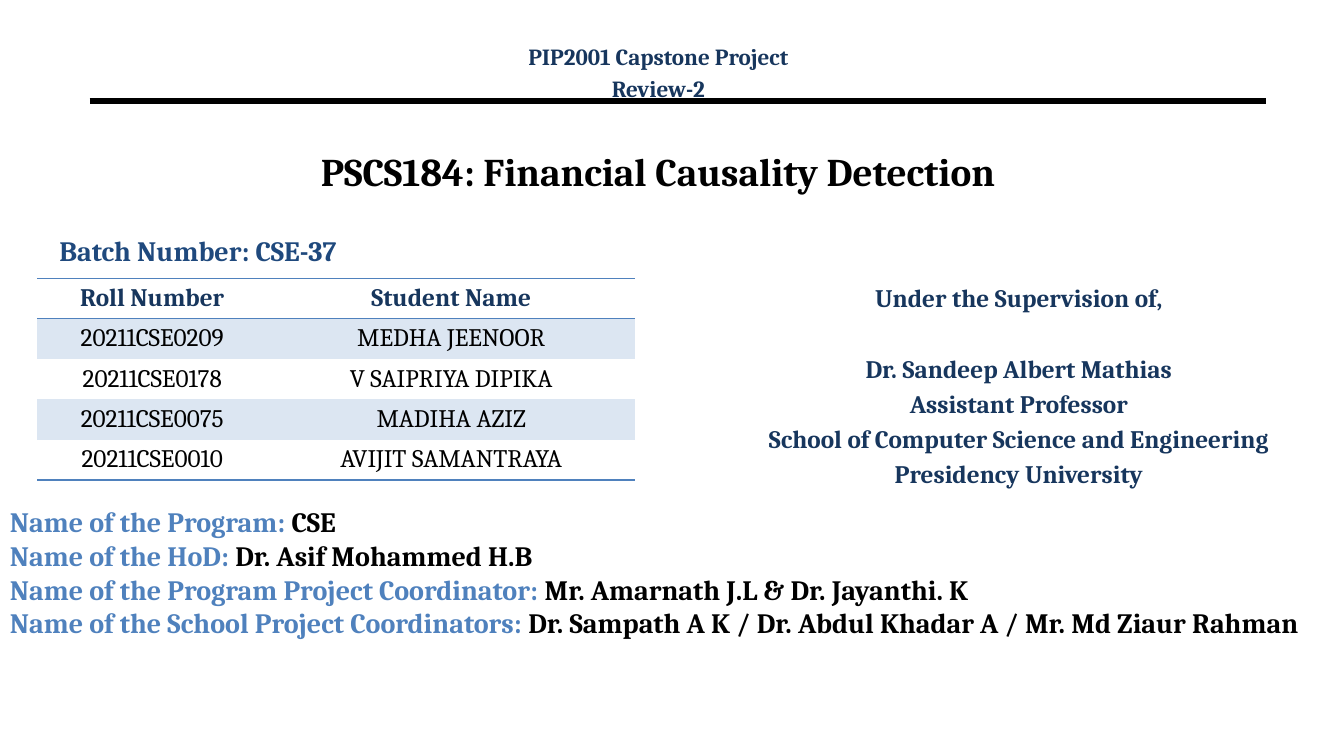
from lxml.etree import SubElement
from pptx import Presentation
from pptx.dml.color import RGBColor
from pptx.enum.shapes import MSO_CONNECTOR as Connector
from pptx.enum.text import MSO_ANCHOR as Anchor, PP_ALIGN as Align
from pptx.oxml.ns import qn
from pptx.util import Inches, Pt

BLACK = RGBColor(0x00, 0x00, 0x00)
NAVY = RGBColor(0x17, 0x36, 0x5D)
DARK_BLUE = RGBColor(0x1F, 0x49, 0x7D)
BLUE = RGBColor(0x4F, 0x81, 0xBD)
BAND = RGBColor(0xDC, 0xE6, 0xF2)
FONT = "Cambria"
PLAIN_TABLE_STYLE = "{2D5ABB26-0587-4C30-8999-92F81FD0307C}"

HEADER = [("PIP2001 Capstone Project", 0), ("Review-2", 3.1)]
SUPERVISION = [
    ("Under the Supervision of,", 0),
    ("Dr. Sandeep Albert Mathias", 29.1),
    ("Assistant Professor", 3.4),
    ("School of Computer Science and Engineering", 3.4),
    ("Presidency University", 3.4),
]
STUDENTS = [
    ("Roll Number", "Student Name"),
    ("20211CSE0209", "MEDHA JEENOOR"),
    ("20211CSE0178", "V SAIPRIYA DIPIKA"),
    ("20211CSE0075", "MADIHA AZIZ"),
    ("20211CSE0010", "AVIJIT SAMANTRAYA"),
]
STAFF = [
    ("Name of the Program: ", "CSE"),
    ("Name of the HoD: ", "Dr. Asif Mohammed H.B"),
    ("Name of the Program Project Coordinator: ", "Mr. Amarnath J.L & Dr. Jayanthi. K"),
    ("Name of the School Project Coordinators: ",
     "Dr. Sampath A K / Dr. Abdul Khadar A / Mr. Md Ziaur Rahman"),
]


def style_span(span, size, color, bold=True):
    """Set the font of one run."""
    span.font.name = FONT
    span.font.size = Pt(size)
    span.font.bold = bold
    span.font.color.rgb = color


def add_box(slide, left, top, width, height):
    """Add a wrapping text box and return its text frame."""
    box = slide.shapes.add_textbox(Inches(left), Inches(top), Inches(width), Inches(height))
    box.text_frame.word_wrap = True
    return box.text_frame


def next_para(frame, index):
    """Return the first paragraph, or a new one after it."""
    return frame.add_paragraph() if index else frame.paragraphs[0]


def fill_lines(frame, lines, size, color, align):
    """Write lines given as text and space before."""
    for index, (text, space) in enumerate(lines):
        para = next_para(frame, index)
        para.text = text
        para.alignment = align
        para.space_before = Pt(space)
        style_span(para.runs[0], size, color)


def fill_staff(frame):
    """Write each role in blue and its names in black."""
    for index, pair in enumerate(STAFF):
        para = next_para(frame, index)
        for text, color in zip(pair, (BLUE, BLACK)):
            span = para.add_run()
            span.text = text
            style_span(span, 20, color)


def place_title(slide, text):
    """Move and format the title placeholder."""
    title = slide.shapes.title
    title.left, title.top = Inches(0.86), Inches(1.17)
    title.width, title.height = Inches(11.33), Inches(1.05)
    frame = title.text_frame
    frame.vertical_anchor = Anchor.MIDDLE
    fill_lines(frame, [(text, 0)], 28, BLACK, Align.CENTER)


def add_rule(slide):
    """Draw the thick line under the header."""
    rule = slide.shapes.add_connector(
        Connector.STRAIGHT, Inches(0.89), Inches(1), Inches(12.56), Inches(1))
    rule.line.color.rgb = BLACK
    rule.line.width = Pt(4.5)
    SubElement(rule._element.spPr, qn("a:effectLst"))


def add_border(cell, side):
    """Draw a thin blue border on one side of a cell."""
    line = SubElement(cell._tc.get_or_add_tcPr(), qn(f"a:{side}"), w=str(Pt(1)))
    fill = SubElement(line, qn("a:solidFill"))
    SubElement(fill, qn("a:srgbClr"), val=str(BLUE))


def fill_cell(cell, text, row):
    """Write and format one cell according to its row."""
    header = row == 0
    cell.vertical_anchor = Anchor.MIDDLE
    para = cell.text_frame.paragraphs[0]
    para.text = text
    para.alignment = Align.CENTER
    style_span(para.runs[0], 18, NAVY if header else BLACK, header)
    if header:
        add_border(cell, "lnT")
    if header or row == len(STUDENTS) - 1:
        add_border(cell, "lnB")
    if row % 2:
        cell.fill.solid()
        cell.fill.fore_color.rgb = BAND
    else:
        cell.fill.background()


def add_students(slide):
    """Add the banded table of students."""
    row_height = 0.39
    table = slide.shapes.add_table(
        len(STUDENTS), 2, Inches(0.37), Inches(2.76),
        Inches(5.93), Inches(row_height * len(STUDENTS))).table
    table._tbl.tblPr.find(qn("a:tableStyleId")).text = PLAIN_TABLE_STYLE
    for column, width in zip(table.columns, (2.28, 3.65)):
        column.width = Inches(width)
    for row, values in enumerate(STUDENTS):
        table.rows[row].height = Inches(row_height)
        for column, text in enumerate(values):
            fill_cell(table.cell(row, column), text, row)


def main():
    """Build the project review slide."""
    deck = Presentation()
    deck.slide_width, deck.slide_height = Inches(13.33), Inches(7.5)
    slide = deck.slides.add_slide(deck.slide_layouts[5])
    add_rule(slide)
    place_title(slide, "PSCS184: Financial Causality Detection")
    fill_lines(add_box(slide, 7.09, 2.75, 6.03, 2.21), SUPERVISION, 18, NAVY, Align.CENTER)
    fill_lines(add_box(slide, 4.36, 0.37, 4.34, 0.6), HEADER, 16.5, NAVY, Align.CENTER)
    fill_staff(add_box(slide, 0, 4.96, 13.4, 1.71))
    add_students(slide)
    batch = [("Batch Number: CSE-37", 0)]
    fill_lines(add_box(slide, 0.49, 2.27, 3.87, 0.44), batch, 20, DARK_BLUE, Align.LEFT)
    deck.save("out.pptx")


if __name__ == "__main__":
    main()
